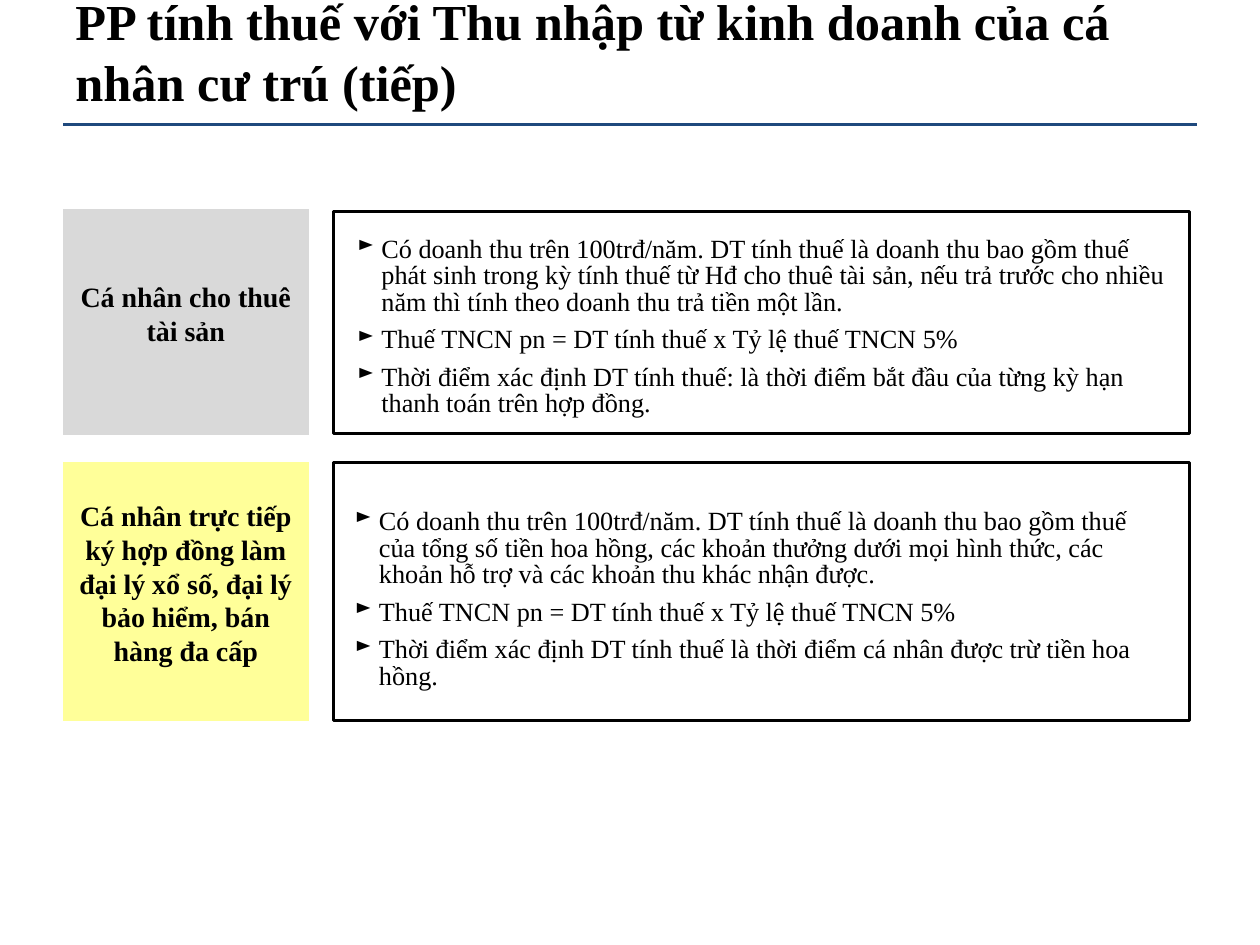
"""Build a slide on business income tax methods for resident individuals."""
from lxml import etree
from pptx import Presentation
from pptx.dml.color import RGBColor
from pptx.enum.shapes import MSO_CONNECTOR, MSO_SHAPE
from pptx.enum.text import MSO_ANCHOR, PP_ALIGN
from pptx.oxml.ns import qn
from pptx.util import Cm, Pt

PROCESS = MSO_SHAPE.FLOWCHART_PROCESS
STRAIGHT = MSO_CONNECTOR.STRAIGHT
TOP, MIDDLE = MSO_ANCHOR.TOP, MSO_ANCHOR.MIDDLE
LEFT, CENTER = PP_ALIGN.LEFT, PP_ALIGN.CENTER

BLACK = RGBColor(0x00, 0x00, 0x00)
NAVY = RGBColor(0x1F, 0x49, 0x7D)
GREY = RGBColor(0xD9, 0xD9, 0xD9)
YELLOW = RGBColor(0xFF, 0xFF, 0x99)
FONT = "Times New Roman"

TITLE = "PP tính thuế với Thu nhập từ kinh doanh của cá nhân cư trú (tiếp)"
TAX_FORMULA = "Thuế TNCN pn = DT tính thuế x Tỷ lệ thuế TNCN 5%"
ROWS = [
    {
        "label": "Cá nhân cho thuê tài sản",
        "fill": GREY,
        "label_span": (4.22, 4.55),
        "label_inset": 1.42,
        "frame_span": (4.27, 4.47),
        "bullets_at": (7.21, 4.67),
        "bullets": [
            "Có doanh thu trên 100trđ/năm. DT tính thuế là doanh thu bao gồm thuế "
            "phát sinh trong kỳ tính thuế từ Hđ cho thuê tài sản, nếu trả trước cho "
            "nhiều năm thì tính theo doanh thu trả tiền một lần.",
            TAX_FORMULA,
            "Thời điểm xác định DT tính thuế: là thời điểm bắt đầu của từng kỳ hạn "
            "thanh toán trên hợp đồng.",
        ],
    },
    {
        "label": "Cá nhân trực tiếp ký hợp đồng làm đại lý xổ số, đại lý bảo hiểm, "
                 "bán hàng đa cấp",
        "fill": YELLOW,
        "label_span": (9.32, 5.21),
        "label_inset": 0.74,
        "frame_span": (9.32, 5.21),
        "bullets_at": (7.16, 10.16),
        "bullets": [
            "Có doanh thu trên 100trđ/năm. DT tính thuế là doanh thu bao gồm thuế "
            "của tổng số tiền hoa hồng, các khoản thưởng dưới mọi hình thức, các "
            "khoản hỗ trợ và các khoản thu khác nhận được.",
            TAX_FORMULA,
            "Thời điểm xác định DT tính thuế là thời điểm cá nhân được trừ tiền hoa "
            "hồng.",
        ],
    },
]

TITLE_FONT = {"name": FONT, "size": Pt(28.8), "bold": True}
LABEL_FONT = {"name": FONT, "size": Pt(16), "bold": True}
BULLET_FONT = {"name": FONT, "size": Pt(15), "bold": False}
TITLE_FRAME = {"word_wrap": True, "vertical_anchor": MIDDLE}
BULLET_FRAME = {
    "word_wrap": True, "vertical_anchor": TOP, "margin_left": 0,
    "margin_top": Cm(0.1), "margin_right": 0, "margin_bottom": 0,
}
BULLET_PARAGRAPH = {"line_spacing": 0.85, "space_after": Pt(6)}
MARGIN, CONTENT_WIDTH = 1.27, 22.86
LABEL_WIDTH = 4.95
FRAME_LEFT, FRAME_WIDTH = 6.73, 17.25
BULLETS_WIDTH, BULLETS_HEIGHT = 16.43, 3.81
RULE_TOP = 2.51


def apply(target, values):
    """Set each named attribute on the target."""
    for name, value in values.items():
        setattr(target, name, value)


def write(shape, texts, frame_format, font_format, alignment=LEFT):
    """Fill a shape with formatted paragraphs and return them."""
    frame = shape.text_frame
    apply(frame, frame_format)
    frame.text = "\n".join(texts)
    for paragraph in frame.paragraphs:
        paragraph.alignment = alignment
        for run in paragraph.runs:
            apply(run.font, font_format)
            run.font.color.rgb = BLACK
    return frame.paragraphs


def add_bullet(paragraph):
    """Give a paragraph a hanging arrow bullet."""
    apply(paragraph, BULLET_PARAGRAPH)
    properties = paragraph._p.get_or_add_pPr()
    properties.set("marL", str(Cm(0.48)))
    properties.set("indent", str(-Cm(0.48)))
    etree.SubElement(properties, qn("a:buSzPct")).set("val", "80000")
    etree.SubElement(properties, qn("a:buChar")).set("char", "►")


def add_box(slide, left, span, width, fill=None):
    """Add a filled box, or an outlined one when there is no fill."""
    top, height = span
    shape = slide.shapes.add_shape(PROCESS, Cm(left), Cm(top), Cm(width), Cm(height))
    shape.shadow.inherit = False
    if fill is None:
        shape.fill.background()
        shape.line.color.rgb = BLACK
        shape.line.width = Pt(1.5)
    else:
        shape.fill.solid()
        shape.fill.fore_color.rgb = fill
        shape.line.fill.background()
    return shape


def add_heading(slide):
    """Add the title and the rule below it."""
    rule = slide.shapes.add_connector(
        STRAIGHT, Cm(MARGIN), Cm(RULE_TOP), Cm(MARGIN + CONTENT_WIDTH), Cm(RULE_TOP))
    rule.line.color.rgb = NAVY
    rule.line.width = Pt(1.5)
    etree.SubElement(rule._element.spPr, qn("a:effectLst"))
    title = slide.shapes.add_textbox(Cm(MARGIN), Cm(0.2), Cm(CONTENT_WIDTH), Cm(1.65))
    write(title, [TITLE], TITLE_FRAME, TITLE_FONT)


def add_row(slide, row):
    """Add a taxpayer label beside its framed rules."""
    label = add_box(slide, MARGIN, row["label_span"], LABEL_WIDTH, row["fill"])
    label_frame = {"word_wrap": True, "vertical_anchor": TOP,
                   "margin_top": Cm(row["label_inset"])}
    write(label, [row["label"]], label_frame, LABEL_FONT, CENTER)
    add_box(slide, FRAME_LEFT, row["frame_span"], FRAME_WIDTH)
    left, top = row["bullets_at"]
    bullets = slide.shapes.add_textbox(
        Cm(left), Cm(top), Cm(BULLETS_WIDTH), Cm(BULLETS_HEIGHT))
    for paragraph in write(bullets, row["bullets"], BULLET_FRAME, BULLET_FONT):
        add_bullet(paragraph)


def main():
    """Create and save the presentation."""
    presentation = Presentation()
    presentation.slide_width, presentation.slide_height = Cm(25.4), Cm(19.05)
    slide = presentation.slides.add_slide(presentation.slide_layouts[6])
    add_heading(slide)
    for row in ROWS:
        add_row(slide, row)
    presentation.save("out.pptx")


if __name__ == "__main__":
    main()
